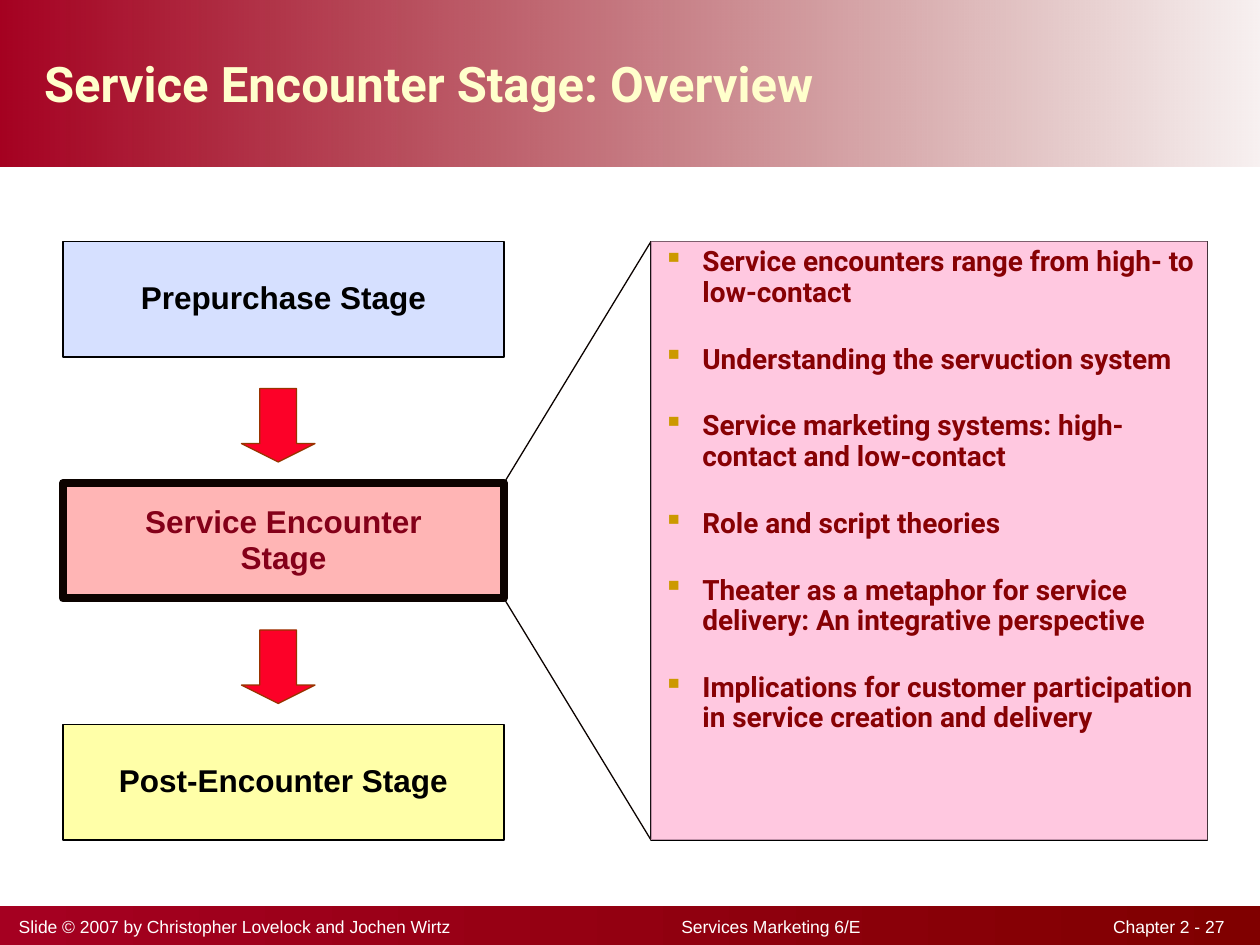
from dataclasses import dataclass
from typing import NamedTuple

from lxml.etree import SubElement
from pptx import Presentation
from pptx.dml.color import RGBColor
from pptx.enum.shapes import MSO_CONNECTOR as Link, MSO_SHAPE as Shape
from pptx.enum.text import MSO_ANCHOR as Anchor, MSO_AUTO_SIZE as AutoSize, PP_ALIGN as Align
from pptx.oxml.ns import qn
from pptx.util import Inches, Pt


@dataclass(frozen=True)
class Theme:
    heading_font: str = "Roboto"
    body_font: str = "Arial"
    title_size: int = 28
    stage_size: int = 18
    bullet_size: int = 16
    footer_size: int = 10
    thin: float = 0.75
    thick: float = 4.5
    band: str = "A50021"
    band_end: str = "800000"
    title: str = "FFFFCC"
    footer: str = "FFFFFF"
    ink: str = "000000"
    frame: str = "0C0300"
    before: str = "3366FF"
    during: str = "FF0000"
    after: str = "FFFF99"
    stage_accent: str = "840019"
    arrow: str = "FC0128"
    arrow_line: str = "993300"
    backing: str = "FF9999"
    panel: str = "FFC1E0"
    bullet: str = "CC9900"
    bullet_text: str = "870104"


THEME = Theme()
COLUMNS, ROWS = 120, 90  # twelve cells to the inch


class Box(NamedTuple):
    """A region in grid cells."""
    left: float
    top: float
    width: float
    height: float

    @property
    def right(self):
        return self.left + self.width

    @property
    def bottom(self):
        return self.top + self.height

    def lengths(self):
        return [cells(value) for value in self]


def cells(count):
    return Inches(count / 12)


def set_alpha(color_parent, percent):
    color = next(color_parent.iter(qn("a:srgbClr")))
    SubElement(color, qn("a:alpha")).set("val", str(percent * 1000))


def add_block(page, box, kind=Shape.RECTANGLE, fill=None, alpha=100, line=None, weight=THEME.thin):
    block = page.shapes.add_shape(kind, *box.lengths())
    block.shadow.inherit = False
    if fill:
        block.fill.solid()
        block.fill.fore_color.rgb = RGBColor.from_string(fill)
        if alpha < 100:
            set_alpha(block.element.spPr.find(qn("a:solidFill")), alpha)
    if line:
        block.line.color.rgb = RGBColor.from_string(line)
        block.line.width = Pt(weight)
    else:
        block.line.fill.background()
    return block


def write(para, text, *, font, size, color, bold=False, align=Align.LEFT, spacing=1.0):
    para.alignment = align
    para.line_spacing = spacing
    span = para.add_run()
    span.text = text
    span.font.name = font
    span.font.size = Pt(size)
    span.font.bold = bold
    span.font.color.rgb = RGBColor.from_string(color)


def add_band(page, box, end_alpha=100):
    band = add_block(page, box)
    band.fill.gradient()
    band.fill.gradient_angle = 0
    for stop, color in zip(band.fill.gradient_stops, (THEME.band, THEME.band_end)):
        stop.color.rgb = RGBColor.from_string(color)
    if end_alpha < 100:
        last_stop = list(band.element.spPr.iter(qn("a:gs")))[-1]
        set_alpha(last_stop, end_alpha)


def add_header(page, box, text):
    add_band(page, box, end_alpha=6)
    title = page.shapes.title
    title.element.getparent().append(title.element)  # above the band
    title.left, title.top, title.width, title.height = Box(3, 0.36, 99, box.height).lengths()
    frame = title.text_frame
    frame.auto_size = AutoSize.NONE
    frame.vertical_anchor = Anchor.MIDDLE
    write(frame.paragraphs[0], text, font=THEME.heading_font, size=THEME.title_size,
          color=THEME.title, bold=True, spacing=0.9)


def add_footer(page, box, parts):
    add_band(page, box)
    note = page.shapes.add_textbox(*Box(box.left + 0.6, box.top + 0.36, 117.4, 3.24).lengths())
    note.text_frame.word_wrap = True
    para = note.text_frame.paragraphs[0]
    tabs = SubElement(para._p.get_or_add_pPr(), qn("a:tabLst"))
    for position, align in ((5.97, "ctr"), (9.57, "r")):
        tab = SubElement(tabs, qn("a:tab"))
        tab.set("pos", str(Inches(position)))
        tab.set("algn", align)
    write(para, "\t".join(parts), font=THEME.body_font, size=THEME.footer_size, color=THEME.footer)


def add_stages(page, box, stages):
    """Stack the stages with an arrow in each gap; return their boxes."""
    height, arrow = 11, 7
    pitch = (box.height - height) / (len(stages) - 1)
    places = [Box(box.left, box.top + pitch * row, box.width, height) for row in range(len(stages))]
    for place, (text, style, color) in zip(places, stages):
        block = add_block(page, place, **style)
        frame = block.text_frame
        frame.word_wrap = True
        frame.margin_left = frame.margin_right = Inches(0.35)
        frame.vertical_anchor = Anchor.MIDDLE
        write(frame.paragraphs[0], text, font=THEME.body_font, size=THEME.stage_size,
              color=color, bold=True, align=Align.CENTER, spacing=0.95)
    for place in places[:-1]:
        spot = Box(place.left + 17, place.bottom + 3, arrow, arrow)
        pointer = add_block(page, spot, Shape.DOWN_ARROW, fill=THEME.arrow, line=THEME.arrow_line)
        pointer.adjustments[0], pointer.adjustments[1] = 0.5, 0.25
    return places


def add_callout_lines(page, source, target):
    """Join the right corners of source to the left corners of target."""
    for start, end in ((source.top, target.top), (source.bottom, target.bottom)):
        line = page.shapes.add_connector(Link.STRAIGHT, cells(source.right), cells(start),
                                         cells(target.left), cells(end))
        line.line.color.rgb = RGBColor.from_string(THEME.frame)
        line.line.width = Pt(THEME.thin)
        SubElement(line.element.spPr, qn("a:effectLst"))


def add_bullet(para, indent):
    props = para._p.get_or_add_pPr()
    props.set("marL", str(indent))
    props.set("indent", str(-indent))
    color = SubElement(props, qn("a:buClr"))
    SubElement(color, qn("a:srgbClr")).set("val", THEME.bullet)
    SubElement(props, qn("a:buChar")).set("char", "▪")


def add_topics(page, box, topics):
    frame = add_block(page, box, fill=THEME.panel, alpha=76).text_frame
    frame.word_wrap = True
    frame.vertical_anchor = Anchor.TOP
    for index, topic in enumerate(topics):
        para = frame.add_paragraph() if index else frame.paragraphs[0]
        add_bullet(para, Inches(0.31))
        para.space_before = Pt(14 if index else 0)
        para.space_after = Pt(7)
        write(para, topic, font=THEME.heading_font, size=THEME.bullet_size,
              color=THEME.bullet_text, bold=True, spacing=0.9)


def main():
    deck = Presentation()
    deck.slide_width, deck.slide_height = cells(COLUMNS), cells(ROWS)
    page = deck.slides.add_slide(deck.slide_layouts[5])

    # Header and footer bands
    add_header(page, Box(0, 0, COLUMNS, 15.84), "Service Encounter Stage: Overview")
    add_footer(page, Box(0, 86.28, COLUMNS, 3.72), [
        "Slide © 2007 by Christopher Lovelock and Jochen Wirtz",
        "Services Marketing 6/E", "Chapter 2 - 27"])

    # Three stages, the middle one highlighted
    _, current, _ = add_stages(page, Box(6, 23, 42, 57), [
        ("Prepurchase Stage", dict(fill=THEME.before, alpha=20, line=THEME.ink), THEME.ink),
        ("Service Encounter Stage", dict(fill=THEME.during, alpha=29, line=THEME.frame,
                                         weight=THEME.thick), THEME.stage_accent),
        ("Post-Encounter Stage", dict(fill=THEME.after, alpha=85, line=THEME.ink), THEME.ink)])

    # Detail panel opened from the middle stage
    panel = Box(62, 23, 53, 57)
    add_block(page, panel, fill=THEME.backing, alpha=29, line=THEME.ink)
    add_callout_lines(page, current, panel)
    add_topics(page, panel, [
        "Service encounters range from high- to low-contact",
        "Understanding the servuction system",
        "Service marketing systems: high-contact and low-contact",
        "Role and script theories",
        "Theater as a metaphor for service delivery: An integrative perspective",
        "Implications for customer participation in service creation and delivery"])
    deck.save("out.pptx")


if __name__ == "__main__":
    main()
